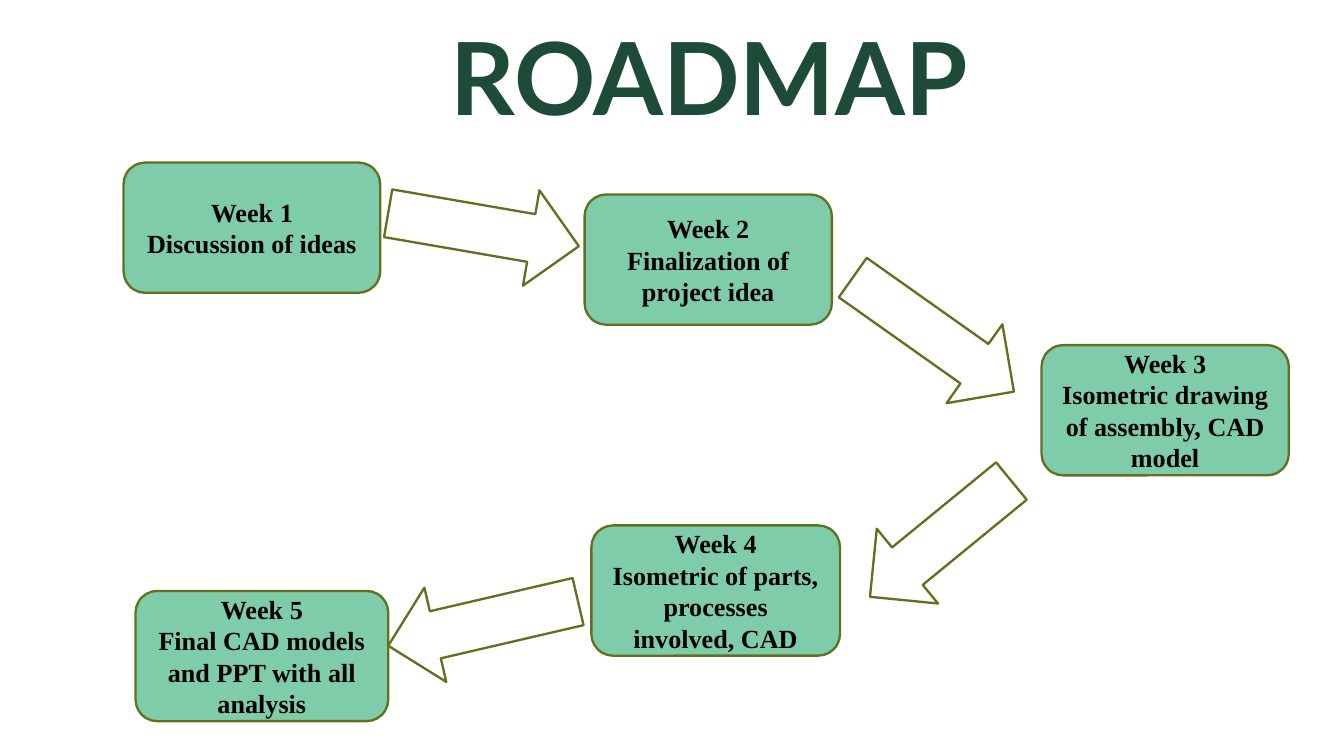
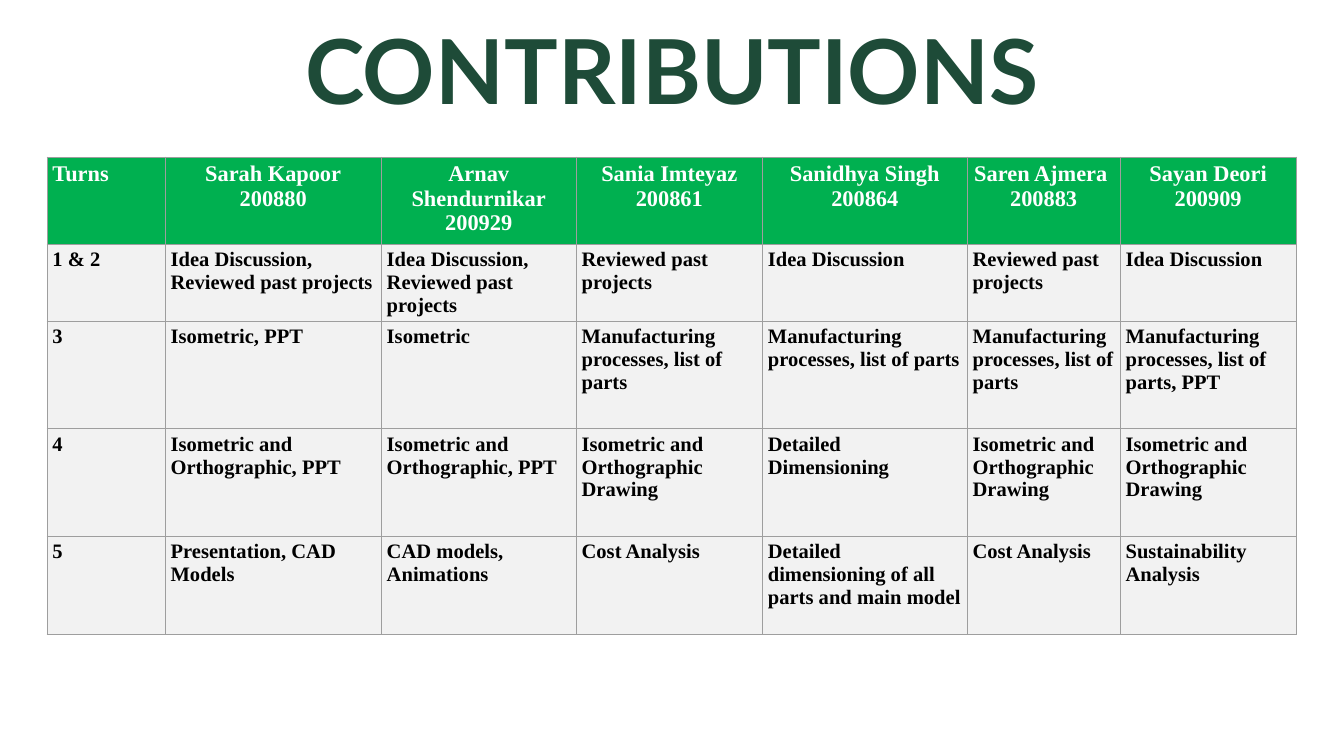
from lxml.etree import SubElement
from pptx import Presentation
from pptx.dml.color import RGBColor
from pptx.enum.shapes import MSO_SHAPE
from pptx.enum.text import MSO_ANCHOR, PP_ALIGN
from pptx.oxml.ns import qn
from pptx.util import Pt

DARK_GREEN = RGBColor(0x1E, 0x4B, 0x38)
MINT = RGBColor(0x7F, 0xCC, 0xAB)
OLIVE = RGBColor(0x61, 0x71, 0x1F)
HEADER_GREEN = RGBColor(0x00, 0xB0, 0x50)
PALE_GREY = RGBColor(0xF2, 0xF2, 0xF2)
GRID_GREY = RGBColor(0x9E, 0x9E, 0x9E)
WHITE = RGBColor(0xFF, 0xFF, 0xFF)
BLACK = RGBColor(0x00, 0x00, 0x00)
TITLE_FONT = "Lato"
BODY_FONT = "Times New Roman"

WEEKS = [
    ("Discussion of ideas", 66.2, 87.1, 137.5),
    ("Finalization of project idea", 313.2, 104.2, 132.5),
    ("Isometric drawing of assembly, CAD model", 558, 184.9, 132.5),
    ("Isometric of parts, processes involved, CAD", 316.8, 281.5, 133.2),
    ("Final CAD models and PPT with all analysis", 72.6, 316.6, 135.4),
]
WEEK_HEIGHT = 69.8

ARROWS = [
    (207.2, 97.2, 103.7, 9.8),
    (447.1, 153.4, 105.8, 35.3),
    (455, 262.8, 97.9, 140.7),
    (206.6, 308.2, 104.4, 166.9),
]
ARROW_HEIGHT = 51.8

HEADER = ["Turns", "Sarah Kapoor\n200880", "Arnav Shendurnikar\n200929",
          "Sania Imteyaz\n200861", "Sanidhya Singh\n200864",
          "Saren Ajmera \n200883", "Sayan Deori\n200909"]
REVIEW = "Reviewed past projects"
IDEA = "Idea Discussion"
BOTH = f"{IDEA}, {REVIEW}"
PROCESSES = "Manufacturing processes, list of parts"
VIEWS = "Isometric and Orthographic"
TURNS = [
    ["1 & 2", BOTH, BOTH, REVIEW, IDEA, REVIEW, IDEA],
    ["3", "Isometric, PPT", "Isometric", PROCESSES, PROCESSES, PROCESSES,
     f"{PROCESSES}, PPT"],
    ["4", f"{VIEWS}, PPT", f"{VIEWS}, PPT", f"{VIEWS} Drawing",
     "Detailed Dimensioning", f"{VIEWS} Drawing", f"{VIEWS} Drawing"],
    ["5", "Presentation, CAD Models", "CAD models, Animations", "Cost Analysis",
     "Detailed dimensioning of all parts and main model", "Cost Analysis",
     "Sustainability Analysis"],
]
COL_WIDTHS = [63.3, 115.8, 104.4, 99.8, 109.7, 82, 94.3]
ROW_HEIGHTS = [46.8, 33.8, 57.6, 57.6, 52.6]


def format_text(tf, font, size, color, align):
    for p in tf.paragraphs:
        p.alignment = align
        p.font.name = font
        p.font.size = Pt(size)
        p.font.bold = True
        p.font.color.rgb = color


def add_titled_slide(prs, text, left, width, height, size):
    s = prs.slides.add_slide(prs.slide_layouts[5])
    title = s.shapes.title
    title.left, title.top = Pt(left), Pt(4.3)
    title.width, title.height = Pt(width), Pt(height)
    tf = title.text_frame
    tf.text = text
    tf.word_wrap = False
    tf.vertical_anchor = MSO_ANCHOR.TOP
    format_text(tf, TITLE_FONT, size, DARK_GREEN, PP_ALIGN.CENTER)
    return s


def add_outlined(s, kind, left, top, width, height, fill):
    sp = s.shapes.add_shape(kind, Pt(left), Pt(top), Pt(width), Pt(height))
    sp.shadow.inherit = False
    sp.fill.solid()
    sp.fill.fore_color.rgb = fill
    sp.line.color.rgb = OLIVE
    sp.line.width = Pt(1.25)
    return sp


def add_borders(cell):
    tcPr = cell._tc.get_or_add_tcPr()
    for i, side in enumerate(("lnL", "lnR", "lnT", "lnB")):
        ln = SubElement(tcPr, qn(f"a:{side}"), w=str(Pt(0.5)))
        fill = SubElement(ln, qn("a:solidFill"))
        SubElement(fill, qn("a:srgbClr"), val=str(GRID_GREY))
        tcPr.remove(ln)
        tcPr.insert(i, ln)


def build_roadmap(prs):
    s = add_titled_slide(prs, "ROADMAP", 208.1, 343.4, 72.7, 54)
    for left, top, width, angle in ARROWS:
        arrow = add_outlined(s, MSO_SHAPE.RIGHT_ARROW, left, top, width,
                             ARROW_HEIGHT, WHITE)
        arrow.rotation = angle
    for number, (task, left, top, width) in enumerate(WEEKS, 1):
        box = add_outlined(s, MSO_SHAPE.ROUNDED_RECTANGLE, left, top, width,
                           WEEK_HEIGHT, MINT)
        tf = box.text_frame
        tf.text = f"Week {number}\n{task}"
        tf.word_wrap = True
        tf.vertical_anchor = MSO_ANCHOR.MIDDLE
        format_text(tf, BODY_FONT, 14, BLACK, PP_ALIGN.CENTER)


def build_contributions(prs):
    s = add_titled_slide(prs, "CONTRIBUTIONS", 121, 478, 65.5, 48)
    rows = [HEADER] + TURNS
    table = s.shapes.add_table(len(rows), len(HEADER), Pt(25.2), Pt(84.2),
                               Pt(sum(COL_WIDTHS)), Pt(sum(ROW_HEIGHTS))).table
    for col, width in zip(table.columns, COL_WIDTHS):
        col.width = Pt(width)
    for row, height in zip(table.rows, ROW_HEIGHTS):
        row.height = Pt(height)
    for i, texts in enumerate(rows):
        for j, text in enumerate(texts):
            cell = table.cell(i, j)
            cell.text = text
            cell.margin_left = cell.margin_right = Pt(2.9)
            cell.margin_top = cell.margin_bottom = Pt(2.2)
            cell.fill.solid()
            cell.fill.fore_color.rgb = PALE_GREY if i else HEADER_GREEN
            add_borders(cell)
            centred = i == 0 and j > 0
            format_text(cell.text_frame, BODY_FONT, 11 if i else 12,
                        BLACK if i else WHITE,
                        PP_ALIGN.CENTER if centred else PP_ALIGN.LEFT)


def main():
    prs = Presentation()
    prs.slide_width, prs.slide_height = Pt(720), Pt(405)
    build_roadmap(prs)
    build_contributions(prs)
    prs.save("out.pptx")


if __name__ == "__main__":
    main()
